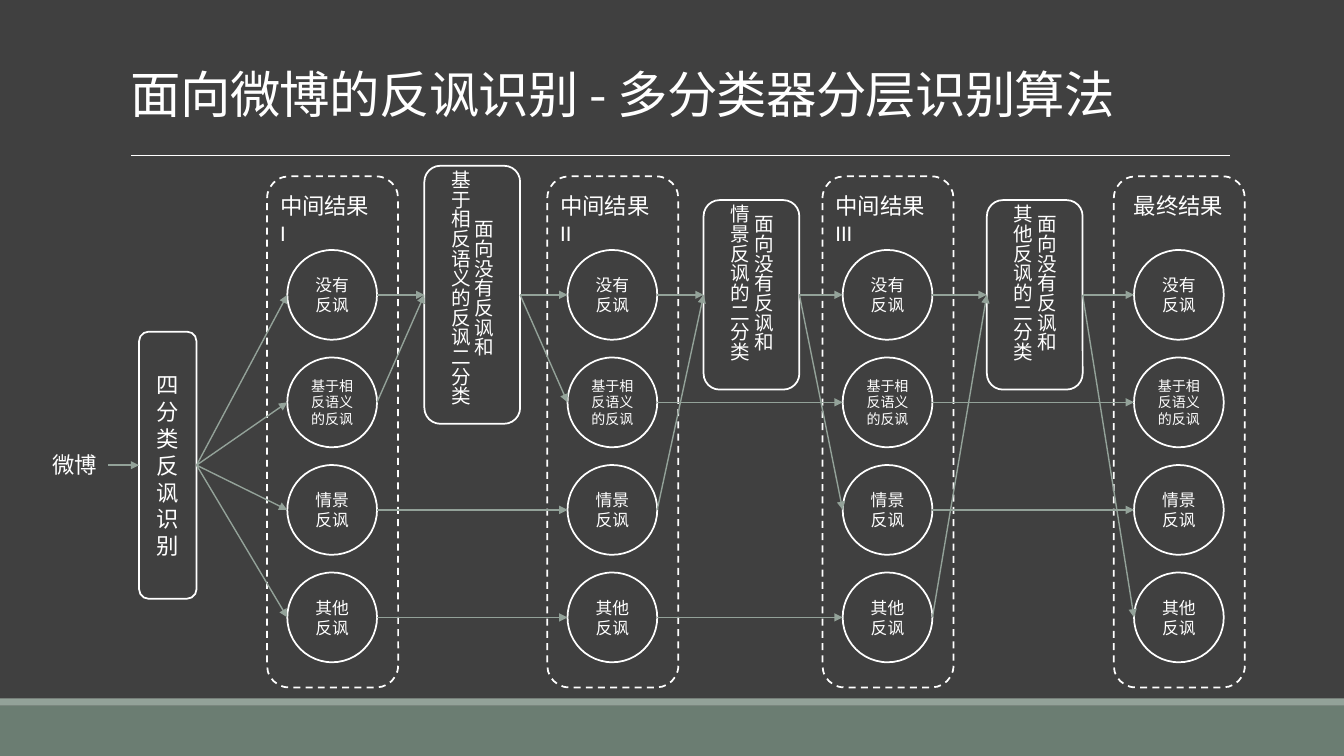
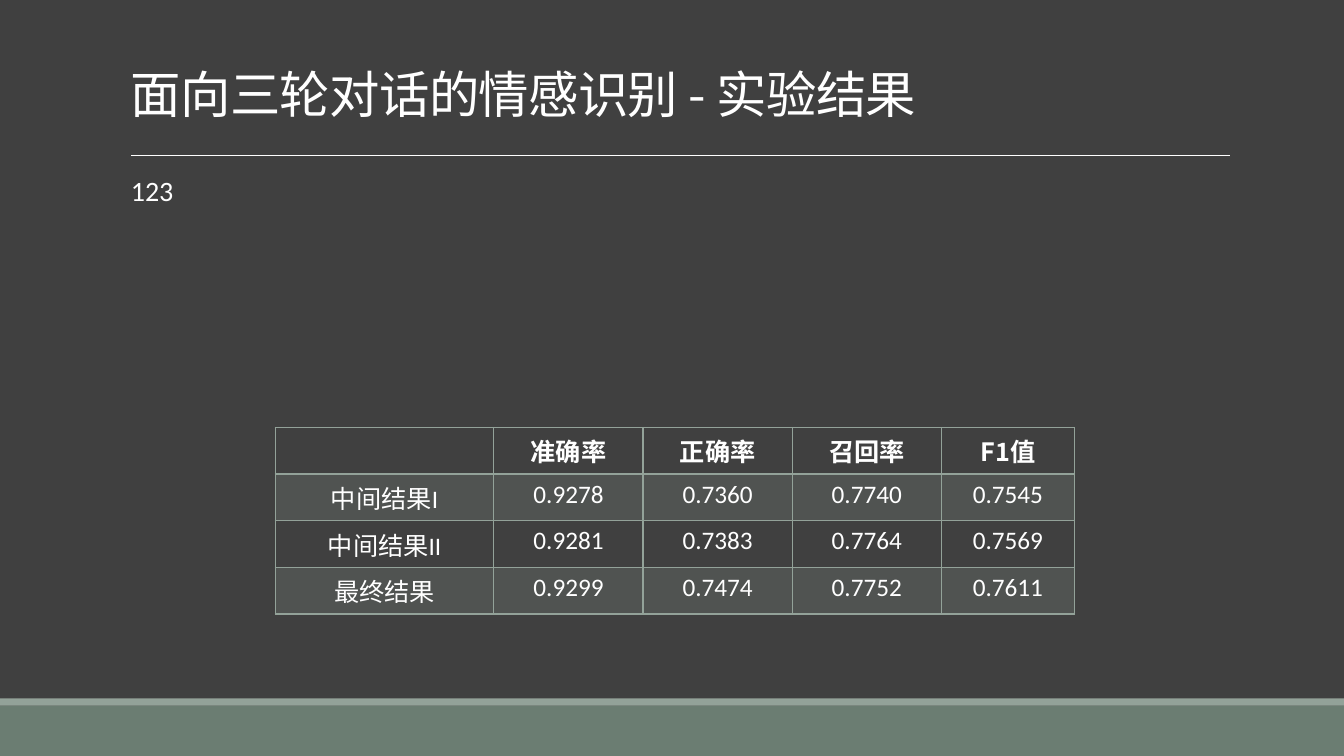
"""Build two slides: a layered sarcasm classifier diagram and a results table."""
from dataclasses import dataclass
from typing import Any, NamedTuple

from lxml import etree
from pptx import Presentation
from pptx import util as u
from pptx.dml.color import RGBColor
from pptx.enum import dml, shapes, text
from pptx.oxml.ns import qn
from pptx.shapes.autoshape import Shape
from pptx.slide import Slide
from pptx.table import _Cell

COLORS = {"ground": "404040", "band": "6B7D72", "accent": "93A299", "ink": "FFFFFF"}
HAN, LATIN = "Noto Sans CJK SC", "Calibri"
CELL = u.Inches(0.1)
COLS, ROWS = 133.33, 75
LEFT, RIGHT = 1, 3
KIND = shapes.MSO_SHAPE
MIDDLE = {"vertical_anchor": text.MSO_ANCHOR.MIDDLE, "word_wrap": True}
TOP = {"vertical_anchor": text.MSO_ANCHOR.TOP, "word_wrap": True}
BOTTOM = {"vertical_anchor": text.MSO_ANCHOR.BOTTOM, "word_wrap": True}
NO_MARGINS = {f"margin_{side}": 0 for side in ("left", "top", "right", "bottom")}
CENTER = {"alignment": text.PP_ALIGN.CENTER}
SINGLE = {"line_spacing": 1.0}

Paragraphs = list[list[str]]


class Box(NamedTuple):
    """A rectangle in grid columns and rows."""
    col: float
    row: float
    cols: float
    rows: float

    def emu(self) -> list[int]:
        """Return left, top, width and height in EMU."""
        return [grid(value) for value in self]


class Port(NamedTuple):
    """The middle of a shape's side, joined when the shape is a rectangle."""
    shape: Shape
    site: int
    joined: bool = True

    def point(self) -> tuple[int, int]:
        """Return the port's position in EMU."""
        across = self.shape.width if self.site == RIGHT else 0
        return self.shape.left + across, self.shape.top + self.shape.height // 2


@dataclass
class Stage:
    """A dashed column of result circles under a heading."""
    col: float
    heading: list[str]
    indent: float = 0.3


@dataclass
class Classifier:
    """A binary classifier standing between two stages."""
    col: float
    rows: float
    task: str


@dataclass
class Category:
    """A class of tweet shown as one circle."""
    lines: Paragraphs
    size: float = 12


CATEGORIES = [
    Category([["没有"], ["反讽"]]),
    Category([["基于相反语义的反讽"]], 10),
    Category([["情景"], ["反讽"]]),
    Category([["其他"], ["反讽"]]),
]
STAGES = [
    Stage(26.5, ["中间结果", "I"]),
    Stage(54.3, ["中间结果", "II"]),
    Stage(81.6, ["中间结果", "III"]),
    Stage(110.5, ["最终结果"], 1),
]
CLASSIFIERS = [
    Classifier(42.1, 25.6, "基于相反语义的反讽二分类"),
    Classifier(69.8, 18.8, "情景反讽的二分类"),
    Classifier(97.9, 18.8, "其他反讽的二分类"),
]
CIRCLE, CIRCLE_TOP, CIRCLE_INDENT, PITCH = 8.9, 24.8, 2, 32 / 3
STAGE_TOP, STAGE_COLS, STAGE_ROWS = 17.5, 13, 50.7
RESULTS = [
    [[], ["准确率"], ["正确率"], ["召回率"], ["F1值"]],
    [["中间结果", "I"], ["0.9278"], ["0.7360"], ["0.7740"], ["0.7545"]],
    [["中间结果", "II"], ["0.9281"], ["0.7383"], ["0.7764"], ["0.7569"]],
    [["最终结果"], ["0.9299"], ["0.7474"], ["0.7752"], ["0.7611"]],
]
RESULT_COLS, RESULT_ROW = [21.7, 14.8, 14.8, 14.8, 13.2], 4.63


def grid(cells: float) -> int:
    """Convert grid cells to EMU."""
    return round(cells * CELL)


def color(name: str) -> RGBColor:
    """Look up a named colour."""
    return RGBColor.from_string(COLORS[name])


def apply(target: Any, values: dict[str, Any]) -> None:
    """Set each format value on the target."""
    for name, value in values.items():
        setattr(target, name, value)


def write(frame: Any, paragraphs: Paragraphs, size: float, layout: dict[str, Any],
          bold: bool = False, spacing: int = 0) -> None:
    """Fill a text frame, giving Latin runs their own font."""
    for index, pieces in enumerate(paragraphs):
        paragraph = frame.add_paragraph() if index else frame.paragraphs[0]
        apply(paragraph, layout)
        for piece in pieces:
            run = paragraph.add_run()
            run.text = piece
            face = LATIN if piece.isascii() else HAN
            apply(run.font, {"size": u.Pt(size), "bold": bold, "name": face})
            run.font.color.rgb = color("ink")
            properties = run.font._element
            etree.SubElement(properties, qn("a:ea")).set("typeface", face)
            if spacing:
                properties.set("spc", str(spacing))


def add_label(slide: Slide, box: Box, paragraphs: Paragraphs, size: float,
              frame: dict[str, Any], layout: dict[str, Any], spacing: int = 0) -> Shape:
    """Add a plain text box."""
    label = slide.shapes.add_textbox(*box.emu())
    apply(label.text_frame, frame)
    write(label.text_frame, paragraphs, size, layout, spacing=spacing)
    return label


def add_band(slide: Slide, box: Box, fill: str) -> None:
    """Add a filled band without an outline."""
    band = slide.shapes.add_shape(KIND.RECTANGLE, *box.emu())
    band.shadow.inherit = False
    band.fill.solid()
    band.fill.fore_color.rgb = color(fill)
    band.line.fill.background()


def add_outline(slide: Slide, kind: KIND, box: Box, paragraphs: Paragraphs, size: float = 16,
                dashed: bool = False, vertical: bool = False) -> Shape:
    """Add an unfilled shape with a white outline and centred text."""
    outline = slide.shapes.add_shape(kind, *box.emu())
    outline.shadow.inherit = False
    outline.fill.background()
    outline.line.color.rgb = color("ink")
    outline.line.width = u.Pt(1.25)
    if dashed:
        outline.line.dash_style = dml.MSO_LINE.DASH
    apply(outline.text_frame, MIDDLE)
    write(outline.text_frame, paragraphs, size, CENTER)
    if vertical:
        apply(outline.text_frame, NO_MARGINS)
        outline.text_frame._txBody.bodyPr.set("vert", "eaVert")
    return outline


def add_line(slide: Slide, start: tuple[int, int], end: tuple[int, int],
             stroke: str, width: float) -> Any:
    """Add a straight connector without a shadow."""
    line = slide.shapes.add_connector(shapes.MSO_CONNECTOR.STRAIGHT, *start, *end)
    line.line.color.rgb = color(stroke)
    line.line.width = u.Pt(width)
    etree.SubElement(line._element.spPr, qn("a:effectLst"))
    return line


def link(slide: Slide, start: Port, end: Port) -> None:
    """Draw an arrow between two ports."""
    arrow = add_line(slide, start.point(), end.point(), "accent", 1)
    if start.joined:
        arrow.begin_connect(start.shape, start.site)
    if end.joined:
        arrow.end_connect(end.shape, end.site)
    stroke = arrow._element.spPr.find(qn("a:ln"))
    etree.SubElement(stroke, qn("a:tailEnd")).set("type", "triangle")


def add_slide(deck: Any, title: str) -> Slide:
    """Add a blank slide with the shared ground, bands, rule and title."""
    slide = deck.slides.add_slide(deck.slide_layouts[6])
    slide.background.fill.solid()
    slide.background.fill.fore_color.rgb = color("ground")
    add_band(slide, Box(0, 70, COLS, 5), "band")
    add_band(slide, Box(0, 69.3, COLS, 0.7), "accent")
    add_line(slide, (grid(13), grid(15.4)), (grid(122), grid(15.4)), "ink", 0.5)
    add_label(slide, Box(12, -3.1, 110, 15.9), [[title]], 36, BOTTOM,
              {"line_spacing": 0.85}, spacing=-50)
    return slide


def add_stage(slide: Slide, stage: Stage) -> list[Shape]:
    """Draw a stage and return its circles."""
    add_outline(slide, KIND.ROUNDED_RECTANGLE,
                Box(stage.col, STAGE_TOP, STAGE_COLS, STAGE_ROWS), [], dashed=True)
    add_label(slide, Box(stage.col + stage.indent, 18.6, 11, 3.7), [stage.heading], 16,
              TOP, SINGLE)
    return [add_outline(slide, KIND.OVAL,
                        Box(stage.col + CIRCLE_INDENT, CIRCLE_TOP + index * PITCH,
                            CIRCLE, CIRCLE),
                        category.lines, category.size)
            for index, category in enumerate(CATEGORIES)]


def add_classifier(slide: Slide, classifier: Classifier) -> Shape:
    """Draw a classifier centred on the first row of circles."""
    row = CIRCLE_TOP + (CIRCLE - classifier.rows) / 2
    return add_outline(slide, KIND.ROUNDED_RECTANGLE,
                       Box(classifier.col, row, 9.5, classifier.rows),
                       [["面向没有反讽和"], [classifier.task]], 14, vertical=True)


def draw_algorithm(deck: Any) -> None:
    """Draw the layered classification slide."""
    slide = add_slide(deck, "面向微博的反讽识别 - 多分类器分层识别算法")
    tweet = add_label(slide, Box(4.2, 44.3, 6.5, 3.7), [["微博"]], 16,
                      {"word_wrap": False}, SINGLE)
    sorter = add_outline(slide, KIND.ROUNDED_RECTANGLE, Box(13.8, 32.9, 5.7, 26.5),
                         [["四分类反讽识别"]])
    link(slide, Port(tweet, RIGHT), Port(sorter, LEFT))
    columns = [add_stage(slide, stage) for stage in STAGES]
    for circle in columns[0]:
        link(slide, Port(sorter, RIGHT), Port(circle, LEFT, False))
    for step, classifier in enumerate(CLASSIFIERS):
        judge = add_classifier(slide, classifier)
        for index, (before, after) in enumerate(zip(columns[step], columns[step + 1])):
            source, target = Port(before, RIGHT, False), Port(after, LEFT, False)
            if index in (0, step + 1):
                link(slide, source, Port(judge, LEFT))
                link(slide, Port(judge, RIGHT), target)
            else:
                link(slide, source, target)


def format_cell(cell: _Cell, row: int) -> None:
    """Give a cell its borders and its tinted or empty fill."""
    properties = cell._tc.get_or_add_tcPr()
    widths = {"L": 1, "R": 1, "T": 2 if row == 1 else 1, "B": 2 if row == 0 else 1}
    for side, width in widths.items():
        border = etree.SubElement(properties, qn(f"a:ln{side}"), w=str(u.Pt(width)))
        fill = etree.SubElement(border, qn("a:solidFill"))
        etree.SubElement(fill, qn("a:srgbClr")).set("val", COLORS["accent"])
    if row % 2:
        cell.fill.solid()
        cell.fill.fore_color.rgb = color("accent")
        tint = properties.find(qn("a:solidFill")).find(qn("a:srgbClr"))
        etree.SubElement(tint, qn("a:alpha")).set("val", "20000")
    else:
        cell.fill.background()


def draw_results(deck: Any) -> None:
    """Draw the experiment results slide."""
    slide = add_slide(deck, "面向三轮对话的情感识别 - 实验结果")
    add_label(slide, Box(12, 17.1, 110, 47.1), [["123"]], 20, TOP, {"line_spacing": 0.9})
    area = Box(27.3, 42.4, sum(RESULT_COLS), RESULT_ROW * len(RESULTS))
    table = slide.shapes.add_table(len(RESULTS), len(RESULT_COLS), *area.emu()).table
    apply(table, {"first_row": False, "horz_banding": False})
    for column, cols in zip(table.columns, RESULT_COLS):
        column.width = grid(cols)
    for row, record in enumerate(RESULTS):
        for col, pieces in enumerate(record):
            cell = table.cell(row, col)
            write(cell.text_frame, [pieces], 18, CENTER, bold=row == 0)
            format_cell(cell, row)


def main() -> None:
    """Build and save the presentation."""
    deck = Presentation()
    apply(deck, {"slide_width": grid(COLS), "slide_height": grid(ROWS)})
    draw_algorithm(deck)
    draw_results(deck)
    deck.save("out.pptx")


if __name__ == "__main__":
    main()
